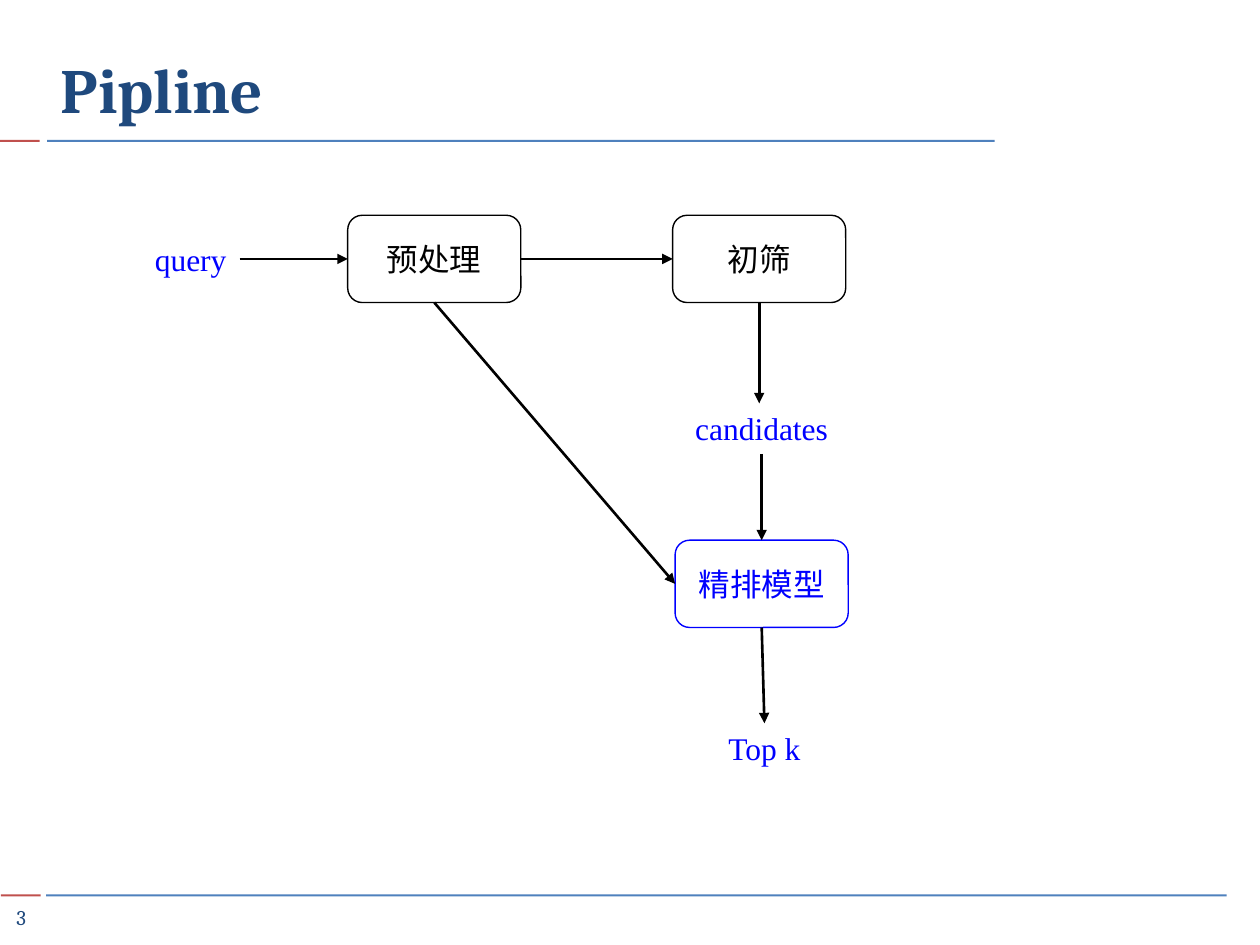
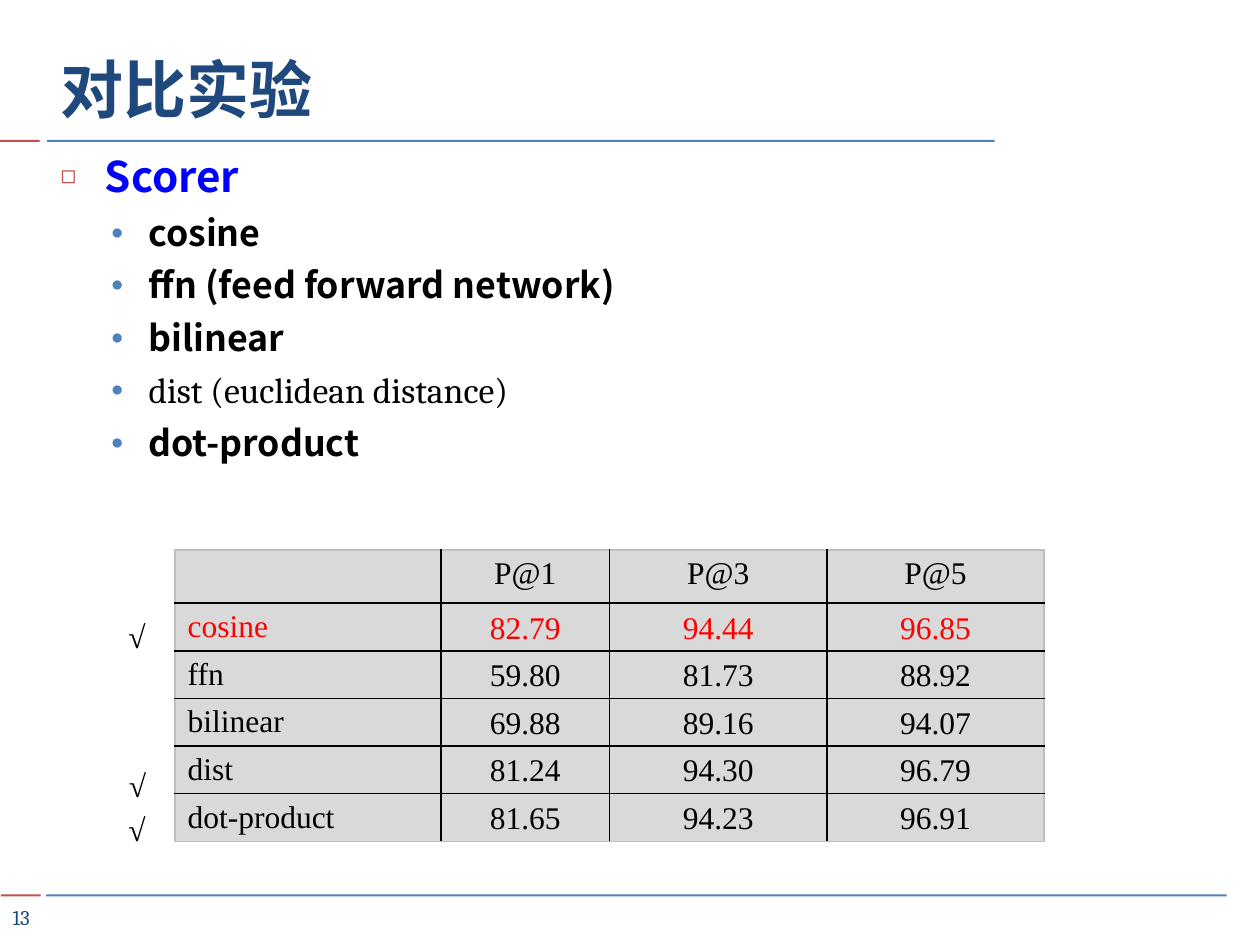
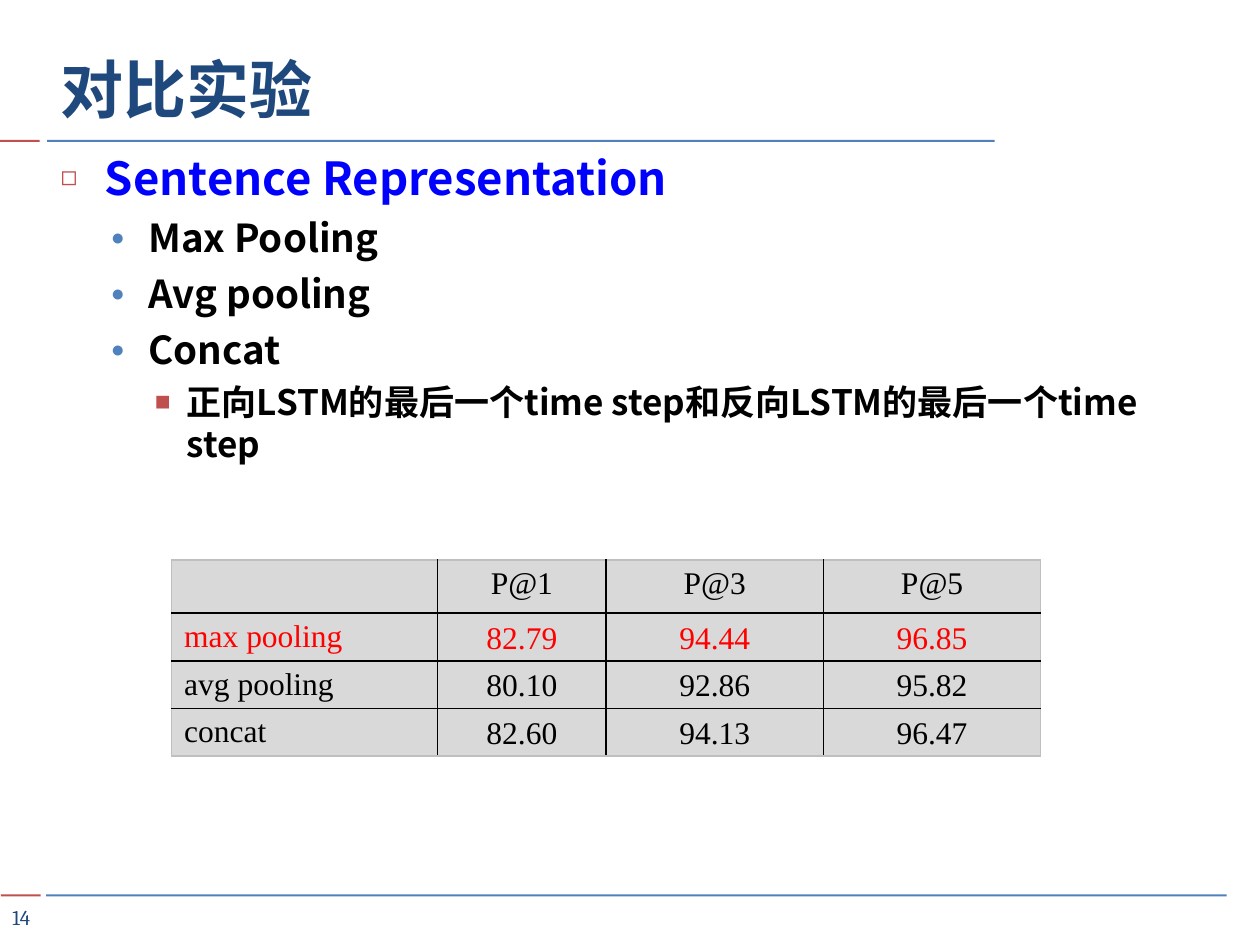
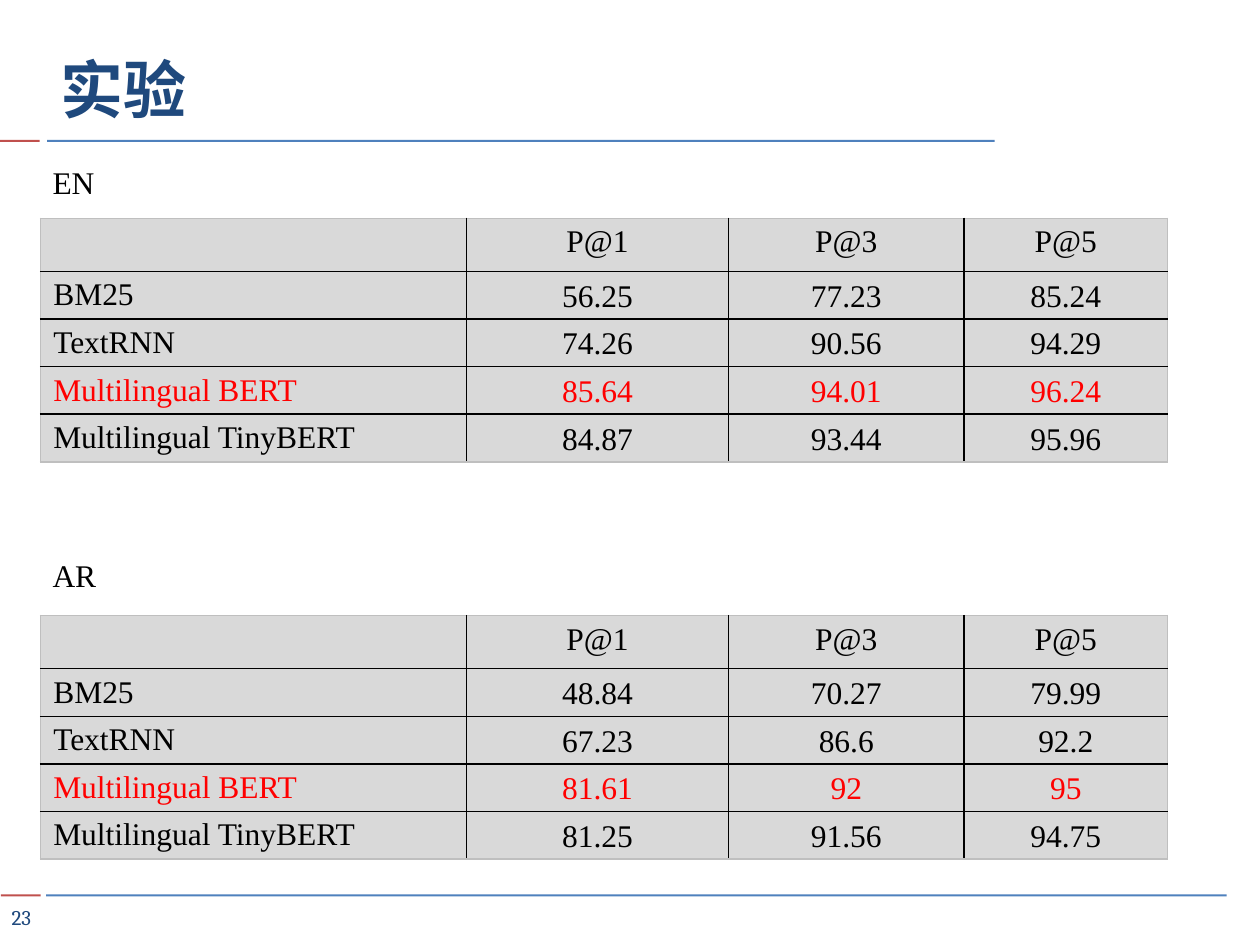
from lxml import etree
from pptx import Presentation
from pptx.dml.color import RGBColor
from pptx.enum.shapes import MSO_CONNECTOR, MSO_SHAPE
from pptx.enum.text import MSO_ANCHOR, MSO_AUTO_SIZE, PP_ALIGN
from pptx.oxml.ns import qn
from pptx.util import Cm, Pt

LEFT, CENTER = PP_ALIGN.LEFT, PP_ALIGN.CENTER
TOP, MIDDLE, BOTTOM = MSO_ANCHOR.TOP, MSO_ANCHOR.MIDDLE, MSO_ANCHOR.BOTTOM
RECTANGLE, ROUNDED = MSO_SHAPE.RECTANGLE, MSO_SHAPE.ROUNDED_RECTANGLE
STRAIGHT = MSO_CONNECTOR.STRAIGHT
SIDE_TOP, SIDE_LEFT, SIDE_BOTTOM, SIDE_RIGHT = range(4)
TITLE_ONLY, TITLE_AND_BODY = 5, 1

COLORS = {
    "black": "000000", "blue": "0000FF", "red": "FF0000", "navy": "1F497D",
    "band_red": "C0504D", "band_blue": "4F81BD", "cell": "D9D9D9", "edge": "BFBFBF",
}
HEADING, LABEL, LIST = "Cambria", "Times New Roman", "Noto Sans CJK SC"

# Shared frame: left, top, width of each band and its colour
BANDS = [
    (0, 2.82, 0.8, "band_red"), (0.95, 2.82, 19.1, "band_blue"),
    (0.02, 18.03, 0.8, "band_red"), (0.93, 18.03, 23.8, "band_blue"),
]
BAND_HEIGHT = 0.04

# Pipeline: name -> text, left, top, colour
STEP_SIZE = (3.49, 1.76)
STEPS = {
    "preprocess": ("预处理", 7.01, 4.34, "black"),
    "filter": ("初筛", 13.56, 4.34, "black"),
    "rank": ("精排模型", 13.61, 10.89, "blue"),
}
# name -> text, left, top, width
DATA = {
    "query": ("query", 2.86, 4.71, 1.97),
    "candidates": ("candidates", 13.66, 8.13, 3.39),
    "top_k": ("Top k", 13.72, 14.58, 3.38),
}
DATA_HEIGHT = 1.02
ARROWS = [
    ("query", SIDE_RIGHT, "preprocess", SIDE_LEFT),
    ("preprocess", SIDE_RIGHT, "filter", SIDE_LEFT),
    ("candidates", SIDE_BOTTOM, "rank", SIDE_TOP),
    ("rank", SIDE_BOTTOM, "top_k", SIDE_TOP),
    ("preprocess", SIDE_BOTTOM, "rank", SIDE_LEFT),
]

# List levels: text indent, hanging, space before, bullet, bullet colour, bullet size
LEVELS = [
    (0.89, 0.89, 7, "◻", "band_red", 60),
    (1.77, 0.76, 5.5, "●", "band_blue", 60),
    (2.54, 0.64, 5, "■", "band_red", 75),
]
# Items: level, text, size, font
SCORERS = [
    (0, "Scorer", 24.1, LIST),
    (1, "cosine", 20.4, LIST),
    (1, "ffn (feed forward network)", 20.4, LIST),
    (1, "bilinear", 20.4, LIST),
    (1, "dist (euclidean distance)", 20.4, HEADING),
    (1, "dot-product", 20.4, LIST),
]
REPRESENTATIONS = [
    (0, "Sentence Representation", 26, LIST),
    (1, "Max Pooling", 22, LIST),
    (1, "Avg pooling", 22, LIST),
    (1, "Concat", 22, LIST),
    (2, "正向LSTM的最后一个time step和反向LSTM的最后一个time step", 20, LIST),
]

# Result tables
METRICS = ("", "P@1", "P@3", "P@5")
SCORER_RESULTS = [
    ("cosine", "82.79", "94.44", "96.85"),
    ("ffn", "59.80", "81.73", "88.92"),
    ("bilinear", "69.88", "89.16", "94.07"),
    ("dist", "81.24", "94.30", "96.79"),
    ("dot-product", "81.65", "94.23", "96.91"),
]
POOLING_RESULTS = [
    ("max pooling", "82.79", "94.44", "96.85"),
    ("avg pooling", "80.10", "92.86", "95.82"),
    ("concat", "82.60", "94.13", "96.47"),
]
ENGLISH_RESULTS = [
    ("BM25", "56.25", "77.23", "85.24"),
    ("TextRNN", "74.26", "90.56", "94.29"),
    ("Multilingual BERT", "85.64", "94.01", "96.24"),
    ("Multilingual TinyBERT", "84.87", "93.44", "95.96"),
]
ARABIC_RESULTS = [
    ("BM25", "48.84", "70.27", "79.99"),
    ("TextRNN", "67.23", "86.6", "92.2"),
    ("Multilingual BERT", "81.61", "92", "95"),
    ("Multilingual TinyBERT", "81.25", "91.56", "94.75"),
]
NARROW_COLUMNS = (5.36, 3.4, 4.38, 4.38)
WIDE_COLUMNS = (8.58, 5.29, 4.74, 4.11)
HEADER_HEIGHT, ROW_HEIGHT = 1.07, 0.81
CELL_BOTTOM_MARGIN = 0.07
CHECK_MARKS = [(2.34, 12.32), (2.35, 15.32), (2.34, 16.21)]
# Language, label top, table top, rows
LANGUAGES = [("EN", 3.17, 4.4, ENGLISH_RESULTS), ("AR", 11.09, 12.41, ARABIC_RESULTS)]


def rgb(color):
    return RGBColor.from_string(COLORS[color])


def write(paragraph, text, size=18, font=LABEL, color="black", bold=False, align=LEFT):
    paragraph.alignment = align
    run = paragraph.add_run()
    run.text = text
    run.font.size, run.font.name, run.font.bold = Pt(size), font, bold
    run.font.color.rgb = rgb(color)
    if font == LIST:
        etree.SubElement(run.font._element, qn("a:ea"), typeface=font)


def place(shape, left, top, width, height):
    shape.left, shape.top, shape.width, shape.height = map(Cm, (left, top, width, height))


def add_label(slide, text, left, top, width, height=DATA_HEIGHT, wrap=True,
              margin=None, anchor=TOP, **style):
    box = slide.shapes.add_textbox(Cm(left), Cm(top), Cm(width), Cm(height))
    frame = box.text_frame
    frame.word_wrap, frame.vertical_anchor = wrap, anchor
    if margin is not None:
        frame.margin_left = frame.margin_right = Cm(margin)
        frame.margin_top = frame.margin_bottom = Cm(margin)
    write(frame.paragraphs[0], text, **style)
    return box


def add_bands_to_master(slide):
    tree = slide.slide_layout.slide_master.shapes._spTree
    for left, top, width, color in BANDS:
        band = slide.shapes.add_shape(RECTANGLE, Cm(left), Cm(top), Cm(width), Cm(BAND_HEIGHT))
        band.shadow.inherit = False
        band.fill.solid()
        band.fill.fore_color.rgb = rgb(color)
        band.line.fill.background()
        tree.append(band._element)


def add_slide(presentation, title, number, layout=TITLE_ONLY):
    slide = presentation.slides.add_slide(presentation.slide_layouts[layout])
    place(slide.shapes.title, 0.97, 0.45, 18.85, 2.21)
    frame = slide.shapes.title.text_frame
    frame.vertical_anchor, frame.auto_size = BOTTOM, MSO_AUTO_SIZE.NONE
    write(frame.paragraphs[0], title, size=36, font=HEADING, color="navy", bold=True)
    add_label(slide, number, 0.06, 18.14, 0.74, 0.71, margin=0, anchor=MIDDLE,
              size=12, font=HEADING, color="navy", align=CENTER)
    return slide


def add_step(slide, text, left, top, color):
    width, height = STEP_SIZE
    step = slide.shapes.add_shape(ROUNDED, Cm(left), Cm(top), Cm(width), Cm(height))
    step.shadow.inherit = False
    step.fill.background()
    step.line.color.rgb, step.line.width = rgb(color), Pt(0.79)
    step.text_frame.vertical_anchor = MIDDLE
    write(step.text_frame.paragraphs[0], text, color=color, align=CENTER)
    return step


def add_arrow(slide, start, start_side):
    arrow = slide.shapes.add_connector(STRAIGHT, 0, 0, 0, 0)
    arrow.begin_connect(start, start_side)
    arrow.line.color.rgb, arrow.line.width = rgb("black"), Pt(1.5)
    etree.SubElement(arrow.line._get_or_add_ln(), qn("a:tailEnd"), type="triangle")
    etree.SubElement(arrow._element.spPr, qn("a:effectLst"))
    return arrow


def add_list(slide, items, height):
    body = slide.placeholders[1]
    place(body, 0.97, 2.9, 23.37, height)
    frame = body.text_frame
    frame.auto_size = MSO_AUTO_SIZE.NONE
    for index, (level, text, size, font) in enumerate(items):
        paragraph = frame.paragraphs[0] if index == 0 else frame.add_paragraph()
        indent, hanging, before, bullet, color, percent = LEVELS[level]
        paragraph.level = level
        paragraph.space_before = Pt(before if index else 0)
        properties = paragraph._p.get_or_add_pPr()
        properties.set("marL", str(Cm(indent)))
        properties.set("indent", str(-Cm(hanging)))
        bullet_color = etree.SubElement(properties, qn("a:buClr"))
        etree.SubElement(bullet_color, qn("a:srgbClr"), val=COLORS[color])
        etree.SubElement(properties, qn("a:buSzPct"), val=str(percent * 1000))
        etree.SubElement(properties, qn("a:buChar"), char=bullet)
        write(paragraph, text, size=size, font=font, bold=font == LIST,
              color="black" if level else "blue")


def set_borders(cell, edges):
    properties = cell._tc.get_or_add_tcPr()
    for position, (tag, color) in enumerate(edges.items()):
        line = etree.Element(qn(f"a:{tag}"), w=str(Pt(1)))
        fill = etree.SubElement(line, qn("a:solidFill"))
        etree.SubElement(fill, qn("a:srgbClr"), val=COLORS[color])
        properties.insert(position, line)


def add_results(slide, results, best, left, top, columns):
    rows = [METRICS, *results]
    height = HEADER_HEIGHT + ROW_HEIGHT * len(results)
    table = slide.shapes.add_table(len(rows), len(columns), Cm(left), Cm(top),
                                   Cm(sum(columns)), Cm(height)).table
    for column, width in zip(table.columns, columns):
        column.width = Cm(width)
    last_row, last_column = len(rows) - 1, len(columns) - 1
    for r, values in enumerate(rows):
        table.rows[r].height = Cm(ROW_HEIGHT if r else HEADER_HEIGHT)
        for c, value in enumerate(values):
            cell = table.cell(r, c)
            cell.fill.solid()
            cell.fill.fore_color.rgb = rgb("cell")
            cell.vertical_anchor = MIDDLE if r and c else TOP
            cell.margin_bottom = Cm(CELL_BOTTOM_MARGIN)
            write(cell.text_frame.paragraphs[0], value, align=CENTER if c else LEFT,
                  color="red" if values[0] == best else "black")
            set_borders(cell, {
                "lnL": "black" if c else "edge",
                "lnR": "black" if c < last_column else "edge",
                "lnT": "black" if r else "edge",
                "lnB": "black" if r < last_row else "edge",
            })


def main():
    presentation = Presentation()
    presentation.slide_width, presentation.slide_height = Cm(25.4), Cm(19.05)

    # Pipeline
    slide = add_slide(presentation, "Pipline", "3")
    add_bands_to_master(slide)
    nodes = {name: add_step(slide, *step) for name, step in STEPS.items()}
    for name, data in DATA.items():
        nodes[name] = add_label(slide, *data, color="blue", align=CENTER)
    for start, start_side, end, end_side in ARROWS:
        add_arrow(slide, nodes[start], start_side).end_connect(nodes[end], end_side)
    # This arrow drops straight down onto the label, just off its middle
    drop = add_arrow(slide, nodes["filter"], SIDE_BOTTOM)
    drop.end_x, drop.end_y = drop.begin_x, nodes["candidates"].top

    # Scorer comparison
    slide = add_slide(presentation, "对比实验", "13", TITLE_AND_BODY)
    add_list(slide, SCORERS, 6.25)
    add_results(slide, SCORER_RESULTS, "cosine", 3.53, 11.09, NARROW_COLUMNS)
    for left, top in CHECK_MARKS:
        add_label(slide, "√", left, top, 0.86, wrap=False)

    # Sentence representation comparison
    slide = add_slide(presentation, "对比实验", "14", TITLE_AND_BODY)
    add_list(slide, REPRESENTATIONS, 5.79)
    add_results(slide, POOLING_RESULTS, "max pooling", 3.46, 11.29, NARROW_COLUMNS)

    # Results by language
    slide = add_slide(presentation, "实验", "23")
    for language, label_top, table_top, results in LANGUAGES:
        add_results(slide, results, "Multilingual BERT", 0.82, table_top, WIDE_COLUMNS)
        add_label(slide, language, 0.81, label_top, 1.4, wrap=False)

    presentation.save("out.pptx")


if __name__ == "__main__":
    main()
